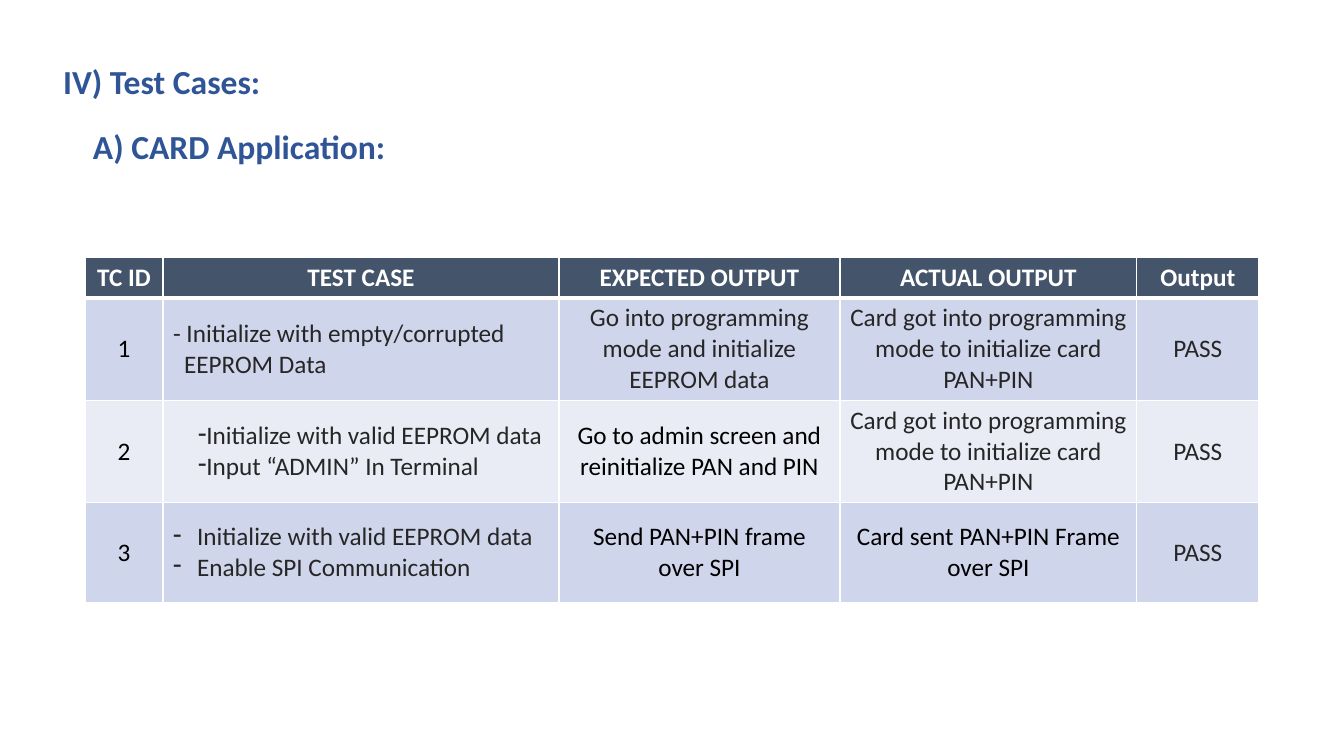
"""Build the slide with the test cases of the card application."""
from dataclasses import dataclass

from lxml import etree
from pptx import Presentation
from pptx.dml.color import RGBColor
from pptx.enum.text import MSO_ANCHOR, MSO_AUTO_SIZE, PP_ALIGN
from pptx.oxml.ns import qn
from pptx.util import Emu, Pt

LEFT, CENTER = PP_ALIGN.LEFT, PP_ALIGN.CENTER
MIDDLE = MSO_ANCHOR.MIDDLE
NO_AUTOFIT = MSO_AUTO_SIZE.NONE

EMU_PER_PX = 914400 / 100.8
FONT = "Calibri"
BLUE, SLATE, WHITE = "2F5597", "44546A", "FFFFFF"
BLACK, DARK = "000000", "262626"
BANDS = ("CFD5EA", "E9EBF5")

COLUMNS = (78, 396, 281, 297, 122)
ROWS = (39, 102, 102, 100)
HEADERS = ("TC ID", "TEST CASE", "EXPECTED OUTPUT", "ACTUAL OUTPUT", "Output")


@dataclass(frozen=True)
class Entry:
    """Text of one table cell, with its paragraph layout in px."""
    paragraphs: tuple[str, ...]
    color: str = DARK
    align: PP_ALIGN = CENTER
    margin: int = 0
    indent: int = 0
    bullet: str = ""
    bold: bool = False


@dataclass(frozen=True)
class TestCase:
    """One body row of the table."""
    steps: Entry
    expected: Entry
    actual: Entry


REINITIALIZED = Entry(("Card got into programming mode to initialize card PAN+PIN",))
PASS = Entry(("PASS",))
CASES = (
    TestCase(
        Entry(("- Initialize with empty/corrupted\nEEPROM Data",),
              align=LEFT, margin=11, indent=-11),
        Entry(("Go into programming mode and initialize EEPROM data",)),
        REINITIALIZED),
    TestCase(
        Entry(("Initialize with valid EEPROM data", "Input “ADMIN” In Terminal"),
              align=LEFT, indent=25, bullet="-"),
        Entry(("Go to admin screen and reinitialize PAN and PIN",), BLACK),
        REINITIALIZED),
    TestCase(
        Entry(("Initialize with valid EEPROM data", "Enable SPI Communication"),
              align=LEFT, margin=24, indent=-24, bullet="-"),
        Entry(("Send PAN+PIN frame over SPI",), BLACK),
        Entry(("Card sent PAN+PIN Frame over SPI",), BLACK)),
)


def px(n: int) -> Emu:
    """Turn px into EMU."""
    return Emu(round(n * EMU_PER_PX))


def rgb(color: str) -> RGBColor:
    """Turn a hex string into a colour."""
    return RGBColor.from_string(color)


def add_text(p, text: str, size: int, color: str, bold: bool) -> None:
    """Add formatted runs to a paragraph, with a line break at each newline."""
    for i, line in enumerate(text.split("\n")):
        if i:
            p.add_line_break()
        r = p.add_run()
        r.text = line
        r.font.name = FONT
        r.font.size = Pt(size)
        r.font.bold = bold
        r.font.color.rgb = rgb(color)


def set_indent(p, margin: int, indent: int, bullet: str = "") -> None:
    """Set the left margin, first-line indent and bullet of a paragraph."""
    pPr = p._p.get_or_add_pPr()
    pPr.set("marL", str(px(margin)))
    pPr.set("indent", str(px(indent)))
    if bullet:
        etree.SubElement(pPr, qn("a:buChar")).set("char", bullet)


def set_heading(sp, text: str, left: int, top: int) -> None:
    """Place a heading and write its text."""
    sp.left, sp.top, sp.width, sp.height = px(left), px(top), px(568), px(41)
    tf = sp.text_frame
    tf.word_wrap = True
    tf.auto_size = NO_AUTOFIT
    tf.vertical_anchor = MIDDLE
    p = tf.paragraphs[0]
    p.alignment = LEFT
    p.line_spacing = 0.9
    set_indent(p, 50, 0)
    add_text(p, text, 24, BLUE, True)


def set_borders(cell, top: int, bottom: int) -> None:
    """Draw white cell borders, with widths in points."""
    tcPr = cell._tc.get_or_add_tcPr()
    for tag, width in (("lnL", 1), ("lnR", 1), ("lnT", top), ("lnB", bottom)):
        ln = etree.SubElement(tcPr, qn(f"a:{tag}"), w=str(Pt(width)))
        fill = etree.SubElement(ln, qn("a:solidFill"))
        etree.SubElement(fill, qn("a:srgbClr"), val=WHITE)


def fill_cell(cell, entry: Entry, row: int) -> None:
    """Write and format one cell."""
    set_borders(cell, 3 if row == 1 else 1, 3 if row == 0 else 1)
    cell.fill.solid()
    cell.fill.fore_color.rgb = rgb(BANDS[(row - 1) % 2] if row else SLATE)
    cell.vertical_anchor = MIDDLE
    tf = cell.text_frame
    for i, text in enumerate(entry.paragraphs):
        p = tf.add_paragraph() if i else tf.paragraphs[0]
        p.alignment = entry.align
        set_indent(p, entry.margin, entry.indent, entry.bullet)
        add_text(p, text, 18, entry.color, entry.bold)


def add_test_table(s) -> None:
    """Add the table of test cases."""
    table = s.shapes.add_table(len(ROWS), len(COLUMNS), px(85), px(257),
                               px(sum(COLUMNS)), px(sum(ROWS))).table
    for column, width in zip(table.columns, COLUMNS):
        column.width = px(width)
    for row, height in zip(table.rows, ROWS):
        row.height = px(height)
    grid = [[Entry((h,), WHITE, bold=True) for h in HEADERS]]
    for number, case in enumerate(CASES, 1):
        grid.append([Entry((str(number),), BLACK), case.steps,
                     case.expected, case.actual, PASS])
    for i, entries in enumerate(grid):
        for j, entry in enumerate(entries):
            fill_cell(table.cell(i, j), entry, i)


def main() -> None:
    """Build and save the presentation."""
    prs = Presentation()
    prs.slide_width, prs.slide_height = px(1344), px(756)
    s = prs.slides.add_slide(prs.slide_layouts.get_by_name("Title Only"))
    set_heading(s.shapes.title, "IV) Test Cases:", 3, 63)
    subheading = s.shapes.add_textbox(0, 0, 0, 0)
    set_heading(subheading, "A) CARD Application:", 33, 128)
    add_test_table(s)
    prs.save("out.pptx")


if __name__ == "__main__":
    main()
